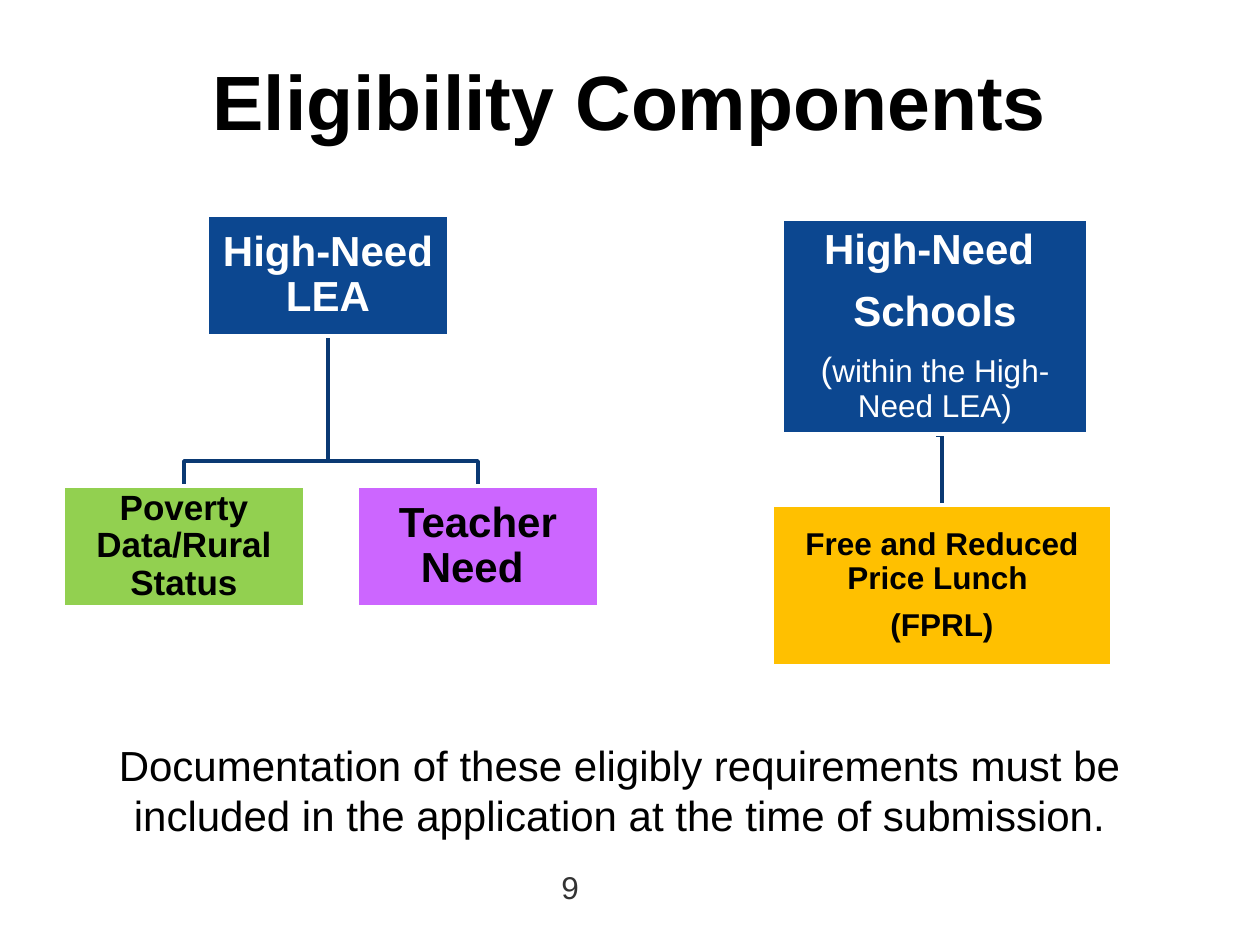
"""Build the Eligibility Components slide with its two requirement trees."""
import pptx
import pptx.util
import pptx.dml.color
import pptx.enum.shapes
import pptx.enum.text

PX = 914400 / 126
FONT = "Arial"
COLORS = {
    "white": "FFFFFF", "black": "000000", "gray": "333333", "navy": "0C4790",
    "branch": "0A3973", "green": "92D050", "purple": "CC66FF", "amber": "FFC000",
}

TITLE = ((63, 47, 1134, 173), "Eligibility Components", 44, True, "black", True)
REQUIREMENT = (
    (63, 733, 1113, 115),
    "Documentation of these eligibly requirements must be included in the "
    "application at the time of submission.",
    24, False, "black", True,
)
PAGE_NUMBER = ((549, 862, 160, 50), "9", 18, False, "gray", False)

BRANCHES = [
    [(328, 336), (328, 461), (478, 461), (478, 486)],
    [(328, 336), (328, 461), (184, 461), (184, 486)],
    [(936, 435), (942, 435), (942, 505)],
]

BOXES = [
    ((207, 215, 242, 121), "navy", "white", 2, 9.5,
     [[("High-Need LEA", 24, True)]]),
    ((63, 486, 242, 121), "green", "black", 1, 8,
     [[("Poverty Data/Rural Status", 20, True)]]),
    ((357, 486, 242, 121), "purple", "black", 2, 9.5,
     [[("Teacher Need ", 24, True)]]),
    ((782, 219, 306, 215), "navy", "white", 2, 9.5,
     [[("High-Need ", 24, True)],
      [("Schools", 24, True)],
      [("(", 20, False), ("within the High-Need LEA)", 18, False)]]),
    ((772, 505, 340, 161), "amber", "black", 1, 7.25,
     [[("Free and Reduced Price Lunch ", 18, True)],
      [("(FPRL)", 18, True)]]),
]


def emu(px):
    return round(px * PX)


def color(name):
    return pptx.dml.color.RGBColor.from_string(COLORS[name])


def add_run(paragraph, text, size, bold, ink):
    run = paragraph.add_run()
    run.text = text
    run.font.name = FONT
    run.font.size = pptx.util.Pt(size)
    run.font.bold = bold
    run.font.color.rgb = color(ink)


def add_label(slide, place, text, size, bold, ink, centered):
    frame = slide.shapes.add_textbox(*map(emu, place)).text_frame
    frame.word_wrap = True
    paragraph = frame.paragraphs[0]
    align = pptx.enum.text.PP_ALIGN
    paragraph.alignment = align.CENTER if centered else align.LEFT
    add_run(paragraph, text, size, bold, ink)


def add_branch(slide, points):
    builder = slide.shapes.build_freeform(*points[0], scale=PX)
    builder.add_line_segments(points[1:], close=False)
    branch = builder.convert_to_shape()
    branch.shadow.inherit = False
    branch.fill.background()
    branch.line.color.rgb = color("branch")
    branch.line.width = pptx.util.Pt(2)


def add_box(slide, place, fill, ink, inset, gap, paragraphs):
    box = slide.shapes.add_shape(
        pptx.enum.shapes.MSO_SHAPE.RECTANGLE, *map(emu, place))
    box.shadow.inherit = False
    box.fill.solid()
    box.fill.fore_color.rgb = color(fill)
    box.line.color.rgb = color("white")
    box.line.width = pptx.util.Pt(2)
    frame = box.text_frame
    frame.word_wrap = True
    frame.vertical_anchor = pptx.enum.text.MSO_ANCHOR.MIDDLE
    frame.margin_left = frame.margin_right = emu(inset)
    frame.margin_top = frame.margin_bottom = emu(inset)
    for index, runs in enumerate(paragraphs):
        paragraph = frame.add_paragraph() if index else frame.paragraphs[0]
        paragraph.alignment = pptx.enum.text.PP_ALIGN.CENTER
        paragraph.line_spacing = 0.9
        paragraph.space_after = pptx.util.Pt(gap)
        for text, size, bold in runs:
            add_run(paragraph, text, size, bold, ink)


def main():
    deck = pptx.Presentation()
    deck.slide_width, deck.slide_height = emu(1260), emu(945)
    slide = deck.slides.add_slide(deck.slide_layouts[6])
    for label in (TITLE, PAGE_NUMBER, REQUIREMENT):
        add_label(slide, *label)
    for points in BRANCHES:
        add_branch(slide, points)
    for box in BOXES:
        add_box(slide, *box)
    deck.save("out.pptx")


if __name__ == "__main__":
    main()
